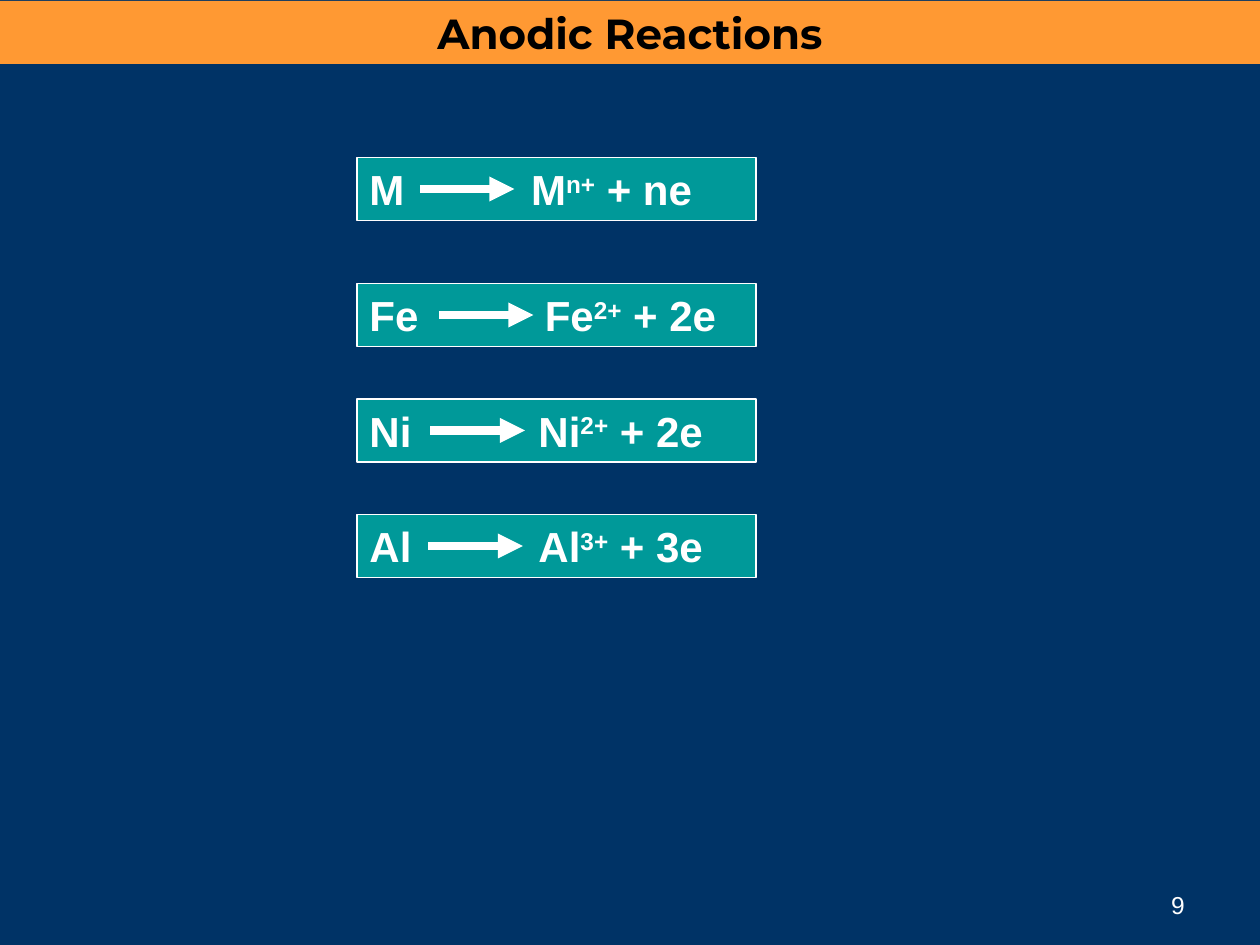
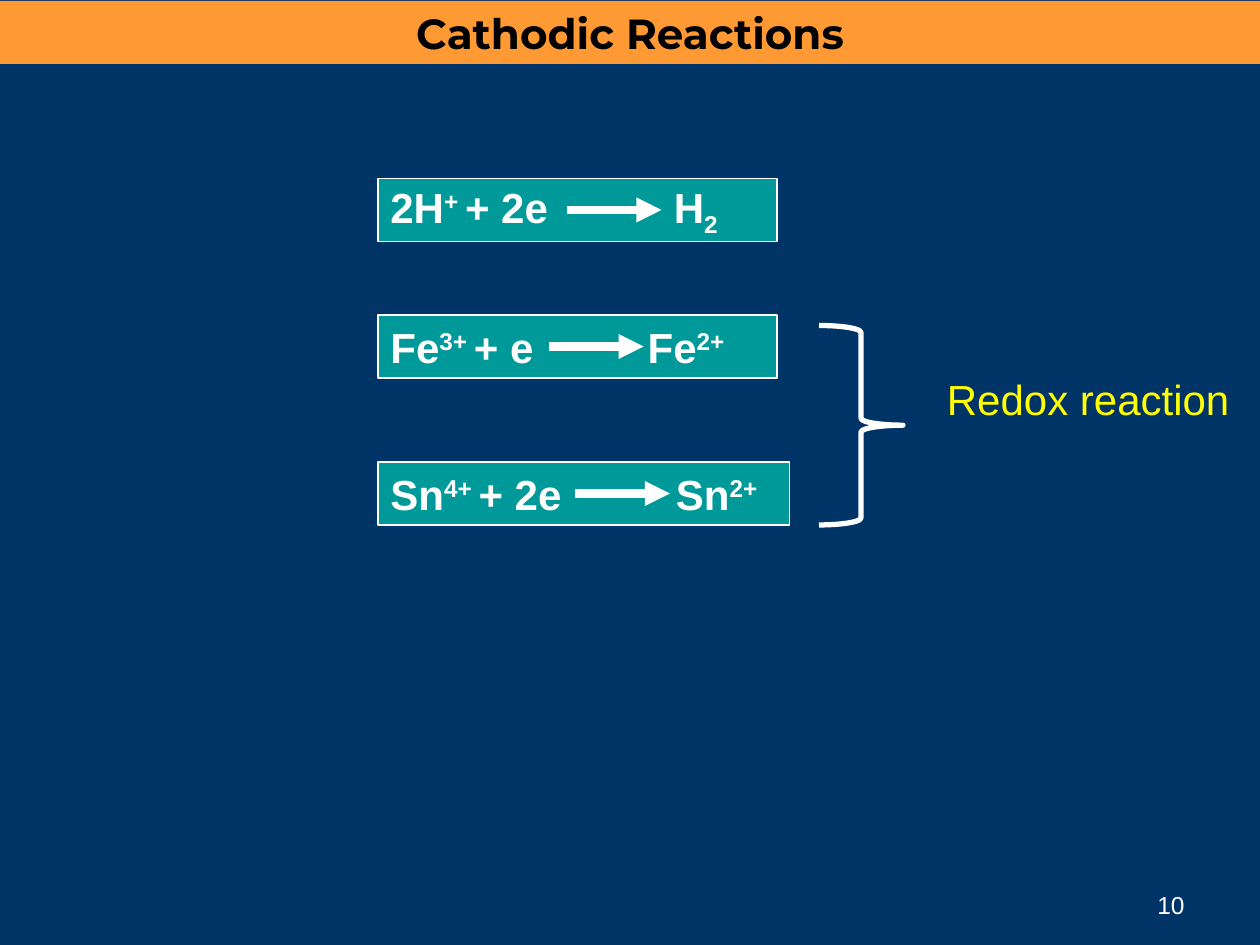
from dataclasses import dataclass
from lxml.etree import SubElement
from pptx import Presentation
from pptx.dml.color import RGBColor
from pptx.enum.shapes import MSO_CONNECTOR, MSO_SHAPE
from pptx.enum.text import MSO_ANCHOR, PP_ALIGN
from pptx.oxml.ns import qn
from pptx.util import Inches, Pt


@dataclass(frozen=True)
class Theme:
    navy: str = "003366"
    orange: str = "FF9933"
    teal: str = "009999"
    white: str = "FFFFFF"
    black: str = "000000"
    yellow: str = "FFFF00"
    title_font: str = "Montserrat"
    body_font: str = "Arial"
    text_size: int = 24
    number_size: int = 14
    border: float = 0.75
    brace_line: float = 3
    arrow_line: float = 4.75


@dataclass(frozen=True)
class Box:
    """A region in grid columns and rows."""
    left: float
    top: float
    width: float
    height: float

    def place(self):
        return [cells(n) for n in (self.left, self.top, self.width, self.height)]


@dataclass(frozen=True)
class Reaction:
    """Formula (|^..| raised, |_..| lowered) with its arrow and product columns."""
    formula: str
    arrow: float
    product: float


THEME = Theme()
COLUMNS, ROWS = 120, 90
TITLE_BAND = Box(0, 0.1, COLUMNS, 6)
PAGE_NUMBER = Box(86, 82, 28, 6.2)
REACTION_WIDTH, REACTION_HEIGHT, ARROW_LENGTH = 38, 6, 9
BASELINES = {"^": "30000", "_": "-25000"}


def cells(count):
    return Inches(10 / COLUMNS * count)


def colour(value):
    return RGBColor.from_string(value)


def style(paragraph, ink, size=THEME.text_size, family=THEME.body_font, bold=False):
    font = paragraph.font
    font.name, font.size, font.bold = family, Pt(size), bold
    font.color.rgb = colour(ink)


def add_panel(slide, box, preset, fill=None, line=None, weight=THEME.border):
    panel = slide.shapes.add_shape(preset, *box.place())
    panel.shadow.inherit = False
    if fill:
        panel.fill.solid()
        panel.fill.fore_color.rgb = colour(fill)
    else:
        panel.fill.background()
    if line:
        panel.line.color.rgb = colour(line)
        panel.line.width = Pt(weight)
    else:
        panel.line.fill.background()
    return panel


def add_label(slide, box, text, ink, size, align, anchor):
    frame = slide.shapes.add_textbox(*box.place()).text_frame
    frame.word_wrap = True
    frame.vertical_anchor = anchor
    paragraph = frame.paragraphs[0]
    paragraph.text, paragraph.alignment = text, align
    style(paragraph, ink, size)


def add_arrow(slide, left, row):
    arrow = slide.shapes.add_connector(
        MSO_CONNECTOR.STRAIGHT, cells(left), cells(row), cells(left + ARROW_LENGTH), cells(row))
    arrow.line.color.rgb = colour(THEME.white)
    arrow.line.width = Pt(THEME.arrow_line)
    SubElement(arrow.line._get_or_add_ln(), qn("a:tailEnd"), type="triangle")
    SubElement(arrow._element.spPr, qn("a:effectLst"))


def add_reaction(slide, box, reaction):
    panel = add_panel(slide, box, MSO_SHAPE.RECTANGLE, THEME.teal, THEME.white)
    panel.text_frame.vertical_anchor = MSO_ANCHOR.MIDDLE
    paragraph = panel.text_frame.paragraphs[0]
    paragraph.alignment = PP_ALIGN.LEFT
    # The product starts at a tab stop, clear of the arrow
    stops = SubElement(paragraph._p.get_or_add_pPr(), qn("a:tabLst"))
    SubElement(stops, qn("a:tab"), pos=str(cells(reaction.product)), algn="l")
    style(paragraph, THEME.white, bold=True)
    for part in reaction.formula.split("|"):
        run = paragraph.add_run()
        run.text = part.lstrip("^_")
        if part[:1] in BASELINES:
            run._r.get_or_add_rPr().set("baseline", BASELINES[part[0]])
    add_arrow(slide, box.left + reaction.arrow, box.top + box.height / 2)


def add_title(slide, box, title):
    band = add_panel(slide, box, MSO_SHAPE.RECTANGLE, THEME.orange)
    band.text_frame.vertical_anchor = MSO_ANCHOR.MIDDLE
    paragraph = band.text_frame.paragraphs[0]
    paragraph.text, paragraph.alignment = title, PP_ALIGN.CENTER
    style(paragraph, THEME.black, family=THEME.title_font, bold=True)


def add_redox_note(slide, box):
    brace = Box(box.left, box.top, 8, box.height)
    add_panel(slide, brace, MSO_SHAPE.RIGHT_BRACE, line=THEME.white, weight=THEME.brace_line)
    note = Box(box.left + 11, box.top + 4, box.width - 11, 9.2)
    add_label(slide, note, "Redox reaction", THEME.yellow, THEME.text_size,
              PP_ALIGN.LEFT, MSO_ANCHOR.TOP)


def add_reaction_slide(deck, title, number, left, reactions):
    slide = deck.slides.add_slide(deck.slide_layouts[6])
    slide.background.fill.solid()
    slide.background.fill.fore_color.rgb = colour(THEME.navy)
    add_label(slide, PAGE_NUMBER, str(number), THEME.white, THEME.number_size,
              PP_ALIGN.RIGHT, MSO_ANCHOR.BOTTOM)
    add_title(slide, TITLE_BAND, title)
    for top, extra_width, reaction in reactions:
        box = Box(left, top, REACTION_WIDTH + extra_width, REACTION_HEIGHT)
        add_reaction(slide, box, reaction)
    return slide


deck = Presentation()
deck.slide_width, deck.slide_height = cells(COLUMNS), cells(ROWS)

# Metals giving up electrons: top row, extra width, reaction
add_reaction_slide(deck, "Anodic Reactions", 9, 34, [
    (15, 0, Reaction("M\tM|^n+| + ne", 6, 15.4)),
    (27, 0, Reaction("Fe\tFe|^2+| + 2e", 7.8, 16.7)),
    (38, 0, Reaction("Ni\tNi|^2+| + 2e", 7, 16.1)),
    (49, 0, Reaction("Al\tAl|^3+| + 3e", 6.8, 16.1)),
])

# Ions taking up electrons, the last two bracketed as redox
cathodic = add_reaction_slide(deck, "Cathodic Reactions", 10, 36, [
    (17, 0, Reaction("2H|^+ |+ 2e\tH|_2", 18, 27)),
    (30, 0, Reaction("Fe|^3+ |+ e\tFe|^2+", 16.3, 24.5)),
    (44, 1.2, Reaction("Sn|^4+ |+ 2e\tSn|^2+", 18.8, 27.2)),
])
add_redox_note(cathodic, Box(78, 31, 42, 19))

deck.save("out.pptx")
